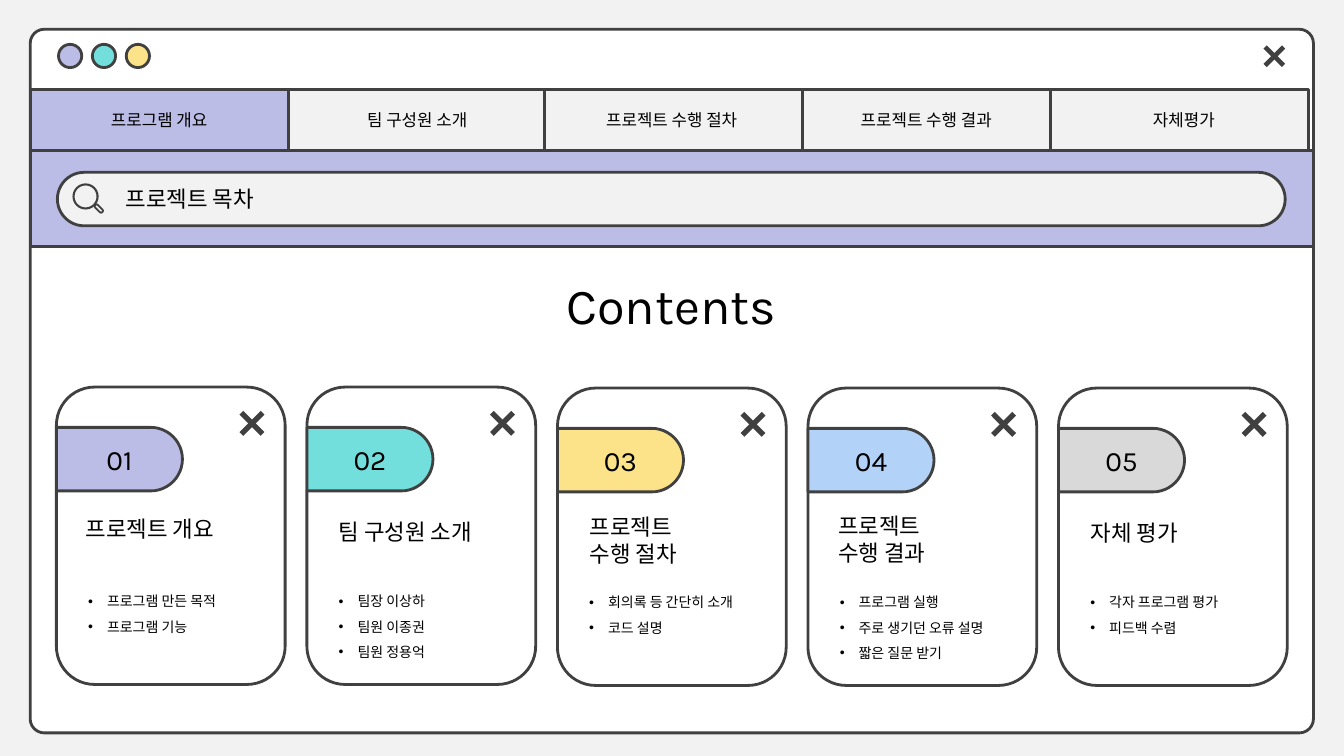
from dataclasses import dataclass
from math import cos, pi, sin

from lxml import etree
from pptx import Presentation
from pptx.dml.color import RGBColor
from pptx.enum.shapes import MSO_SHAPE
from pptx.enum.text import MSO_AUTO_SIZE, PP_ALIGN
from pptx.oxml.ns import qn
from pptx.util import Pt

RECTANGLE = MSO_SHAPE.RECTANGLE
ROUNDED = MSO_SHAPE.ROUNDED_RECTANGLE
OVAL = MSO_SHAPE.OVAL
DONUT = MSO_SHAPE.DONUT
GROW = MSO_AUTO_SIZE.SHAPE_TO_FIT_TEXT
LEFT, CENTER = PP_ALIGN.LEFT, PP_ALIGN.CENTER

INK = RGBColor(0x40, 0x40, 0x40)
BLACK = RGBColor(0, 0, 0)
WHITE = RGBColor(0xFF, 0xFF, 0xFF)
PAPER = RGBColor(0xF2, 0xF2, 0xF2)
LILAC = RGBColor(0xBC, 0xBD, 0xE6)
TEAL = RGBColor(0x73, 0xDF, 0xDC)
YELLOW = RGBColor(0xFC, 0xE3, 0x8A)
BLUE = RGBColor(0xB3, 0xD2, 0xF7)
GRAY = RGBColor(0xD9, 0xD9, 0xD9)

INDENT = 13.5
WINDOW = (21.6, 20.9, 916.6, 502.6)
CARD_LEFT, CARD_STEP, CARD_WIDTH, CARD_HEIGHT = 40.3, 178.95, 163.4, 212.4


@dataclass
class Card:
    number: str
    color: RGBColor
    top: float
    title_left: float
    title_top: float
    title: list
    items: list


# Title positions are measured from the card's corner.
CARDS = [
    Card("01", LILAC, 276.5, 13.7, 87.8, ["프로젝트 개요"],
         ["프로그램 만든 목적", "프로그램 기능"]),
    Card("02", TEAL, 276.5, 15.5, 90, ["팀 구성원 소개"],
         ["팀장 이상하", "팀원 이종권", "팀원 정용억"]),
    Card("03", YELLOW, 277.2, 15.8, 85.7, ["프로젝트", "수행 절차"],
         ["회의록 등 간단히 소개", "코드 설명"]),
    Card("04", BLUE, 277.2, 14.4, 85, ["프로젝트", "수행 결과"],
         ["프로그램 실행", "주로 생기던 오류 설명", "짧은 질문 받기"]),
    Card("05", GRAY, 277.2, 15.8, 90, ["자체 평가"],
         ["각자 프로그램 평가", "피드백 수렴"]),
]

# Tab left, label left, label width, label; measured from the window's left.
TABS = [
    (0, 0, 184.3, "프로그램 개요"),
    (184.3, 184.3, 184.3, "팀 구성원 소개"),
    (367.2, 365, 186.5, "프로젝트 수행 절차"),
    (551.5, 547.9, 184.3, "프로젝트 수행 결과"),
    (728.6, 733.7, 180.7, "자체평가"),
]


def style(shape, fill, line=INK, line_width=2):
    shape.shadow.inherit = False
    if fill is None:
        shape.fill.background()
    else:
        shape.fill.solid()
        shape.fill.fore_color.rgb = fill
    if line is None:
        shape.line.fill.background()
    else:
        shape.line.color.rgb = line
        shape.line.width = Pt(line_width)
    return shape


def add_preset(slide, kind, box, fill, corner=None, **outline):
    shape = slide.shapes.add_shape(kind, *map(Pt, box))
    if corner is not None:
        shape.adjustments[0] = corner
    return style(shape, fill, **outline)


def add_polygon(slide, points, fill, **outline):
    corners = [(Pt(x), Pt(y)) for x, y in points]
    builder = slide.shapes.build_freeform(*corners[0])
    builder.add_line_segments(corners[1:], close=True)
    return style(builder.convert_to_shape(), fill, **outline)


def add_bullet(paragraph):
    paragraph.line_spacing = 1.5
    properties = paragraph._p.get_or_add_pPr()
    properties.set("marL", str(Pt(INDENT)))
    properties.set("indent", str(-Pt(INDENT)))
    etree.SubElement(properties, qn("a:buFont")).set("typeface", "Arial")
    etree.SubElement(properties, qn("a:buChar")).set("char", "•")


def add_text(slide, box, lines, size, align=LEFT, name="Karla", bulleted=False):
    frame = slide.shapes.add_textbox(*map(Pt, box)).text_frame
    frame.word_wrap = True
    frame.auto_size = GROW
    font_format = {"name": name, "size": Pt(size)}
    for index, line in enumerate(lines):
        paragraph = frame.add_paragraph() if index else frame.paragraphs[0]
        paragraph.alignment = align
        if bulleted:
            add_bullet(paragraph)
        run = paragraph.add_run()
        run.text = line
        for attribute, value in font_format.items():
            setattr(run.font, attribute, value)
        run.font.color.rgb = BLACK


def add_cross(slide, left, top, size):
    arm = size * 0.15
    bar = [(0, arm), (arm, 0), (size, size - arm), (size - arm, size)]
    mirrored = [(size - x, y) for x, y in bar]
    for points in (bar, mirrored):
        add_polygon(slide, [(left + x, top + y) for x, y in points], INK, line=None)


def add_number_flag(slide, left, top, width, height, color):
    """Flag with a square left side and a half-round right side."""
    radius = height / 2
    angles = [pi * (step / 24 - 0.5) for step in range(25)]
    arc = [(left + width - radius + radius * cos(angle),
            top + radius + radius * sin(angle)) for angle in angles]
    add_polygon(slide, [(left, top), *arc, (left, top + height)], color)


def add_window(slide, left, top, width, height):
    add_preset(slide, ROUNDED, (left, top, width, height), WHITE, corner=0.02)
    for index, color in enumerate((LILAC, TEAL, YELLOW)):
        button = (left + 20.2 + index * 24.2, top + 10.8, 16.6, 16.6)
        add_preset(slide, OVAL, button, color)
    add_cross(slide, left + width - 35.7, top + 11.5, 15.5)


def add_tabs(slide, left, top, width, height):
    for index, (tab_left, label_left, label_width, label) in enumerate(TABS):
        fill = PAPER if index else LILAC
        add_preset(slide, RECTANGLE, (left + tab_left, top, width, height), fill)
        label_box = (left + label_left, top + 10.8, label_width, 21)
        add_text(slide, label_box, [label], 12, CENTER)


def add_search_bar(slide, left, top, width, height):
    add_preset(slide, RECTANGLE, (left, top, width, height), LILAC)
    field = (left + 19.4, top + 15.8, width - 39.6, 38.2)
    add_preset(slide, ROUNDED, field, PAPER, corner=0.5)
    lens = (left + 30.2, top + 23.7, 18.7, 18.7)
    add_preset(slide, DONUT, lens, INK, corner=0.08, line=None)
    handle_box = (left + 45.4, top + 40.4, 7.2, 2.6)
    handle = add_preset(slide, ROUNDED, handle_box, None, corner=0.5, line_width=1.3)
    handle.rotation = 45
    add_text(slide, (left + 61.2, top + 21.6, 739.4, 26.6), ["프로젝트 목차"], 16)


def add_card(slide, card, left, top, width, height):
    add_preset(slide, ROUNDED, (left, top, width, height), WHITE, corner=0.167)
    add_number_flag(slide, left, top + 28.8, 90, 45.4, card.color)
    add_text(slide, (left, top + 36, 90, 31.7), [card.number], 20, CENTER)
    title_box = (left + card.title_left, top + card.title_top,
                 147.6, 7.2 + 19.2 * len(card.title))
    add_text(slide, title_box, card.title, 16)
    items_box = (left + 15.6, top + 137.5, 147.6, 7.2 + 18 * len(card.items))
    add_text(slide, items_box, card.items, 10, name="Arial", bulleted=True)
    add_cross(slide, left + 130.8, top + 17, 17.8)


def build_contents_slide(presentation):
    slide = presentation.slides.add_slide(presentation.slide_layouts[6])
    slide.background.fill.solid()
    slide.background.fill.fore_color.rgb = PAPER
    left, _, width, _ = WINDOW
    add_window(slide, *WINDOW)
    add_tabs(slide, left, 64.1, 184.3, 43.2)
    add_search_bar(slide, left, 107.3, width, 69.1)
    add_text(slide, (341.3, 192.2, 276.5, 51.1), ["Contents"], 36, CENTER)
    for index, card in enumerate(CARDS):
        card_left = CARD_LEFT + index * CARD_STEP
        add_card(slide, card, card_left, card.top, CARD_WIDTH, CARD_HEIGHT)


def main():
    presentation = Presentation()
    presentation.slide_width, presentation.slide_height = Pt(960), Pt(540)
    build_contents_slide(presentation)
    presentation.save("out.pptx")


if __name__ == "__main__":
    main()
